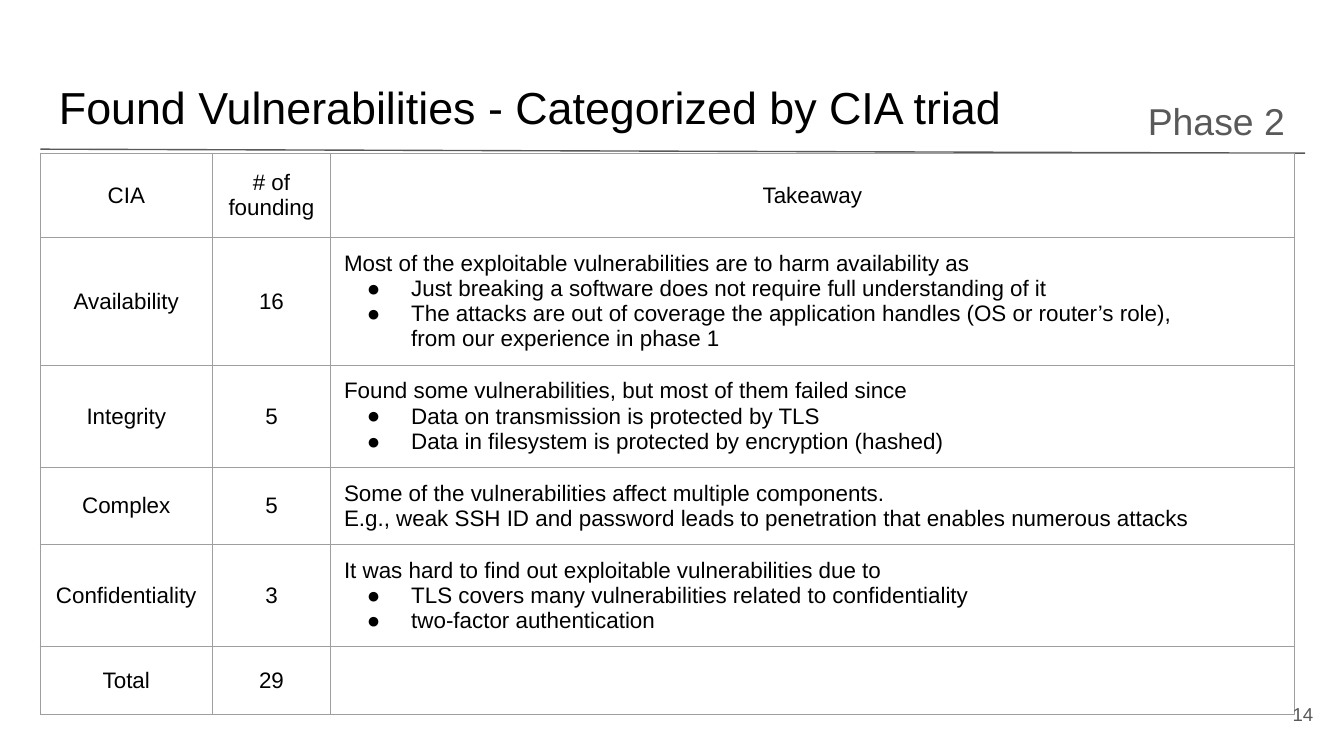
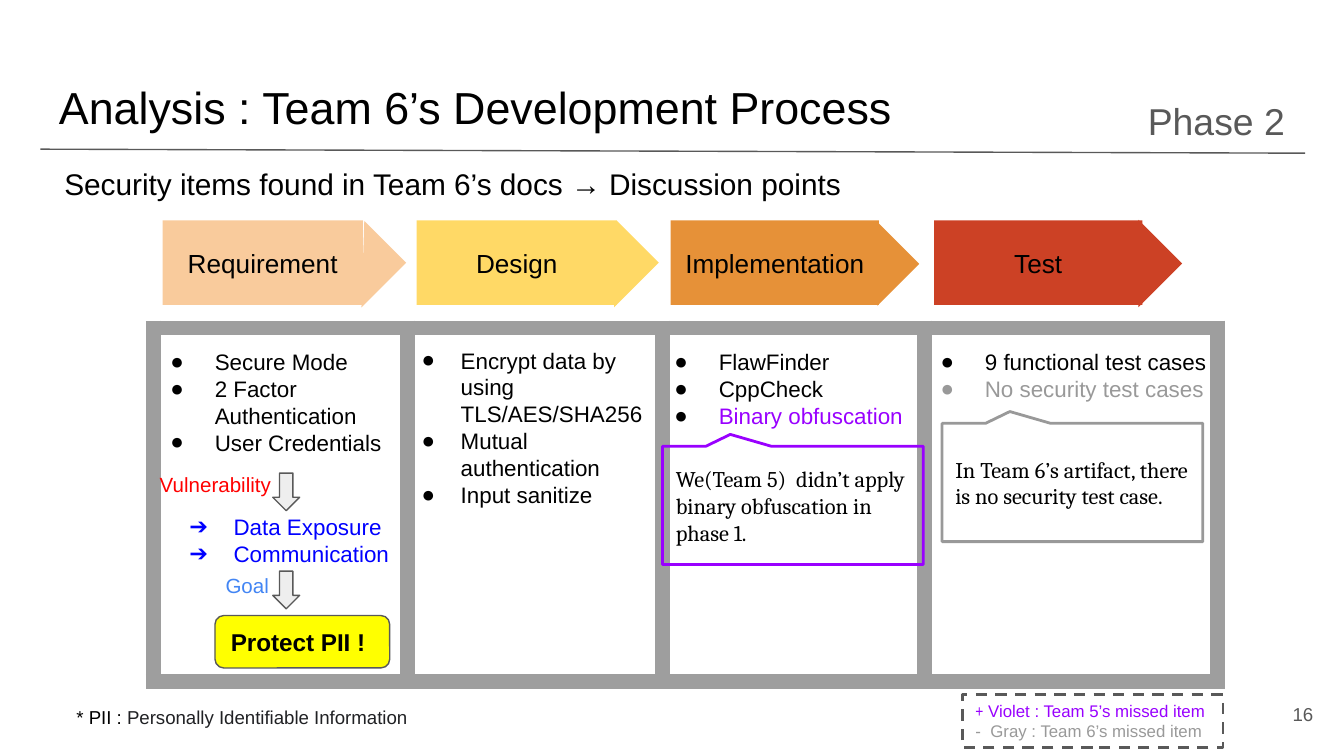
import lxml.etree
import pptx
import pptx.dml.color
import pptx.enum.dml
import pptx.enum.shapes
import pptx.enum.text
import pptx.oxml.ns
import pptx.util

Inches = pptx.util.Inches
Pt = pptx.util.Pt
qn = pptx.oxml.ns.qn
color = pptx.dml.color.RGBColor.from_string
SHAPE = pptx.enum.shapes.MSO_SHAPE
LEFT = pptx.enum.text.PP_ALIGN.LEFT
CENTER = pptx.enum.text.PP_ALIGN.CENTER
RIGHT = pptx.enum.text.PP_ALIGN.RIGHT
TOP = pptx.enum.text.MSO_ANCHOR.TOP
MIDDLE = pptx.enum.text.MSO_ANCHOR.MIDDLE

BLACK, DARK_GRAY, GRAY, BORDER = "000000", "595959", "999999", "9E9E9E"
VIOLET, BLUE = "9900FF", "0000FF"


def write(frame, lines, size, ink=BLACK, align=LEFT, font="Arial", hanging=0.33):
    """Fill a text frame; a line that opens with ● or ➔ becomes a bullet."""
    for index, line in enumerate(lines):
        paragraph = frame.paragraphs[0] if index == 0 else frame.add_paragraph()
        bullet = line[0] if line[0] in "●➔" else None
        paragraph.text = line[2:] if bullet else line
        paragraph.alignment = align
        if bullet:
            properties = paragraph._p.get_or_add_pPr()
            properties.set("marL", str(Inches(0.5)))
            properties.set("indent", str(-Inches(hanging)))
            bullet_color = lxml.etree.SubElement(properties, qn("a:buClr"))
            lxml.etree.SubElement(bullet_color, qn("a:srgbClr"), val=ink)
            lxml.etree.SubElement(properties, qn("a:buSzPts"), val=str(size * 100))
            lxml.etree.SubElement(properties, qn("a:buFont"), typeface=font)
            lxml.etree.SubElement(properties, qn("a:buChar"), char=bullet)
        for run in paragraph.runs:
            run.font.name = font
            run.font.size = Pt(size)
            run.font.color.rgb = color(ink)


def add_box(slide, box, kind=None, fill=None, line=None, width=0.75, anchor=MIDDLE):
    """Add a preset shape, or a text box when no kind is given."""
    left, top, box_width, height = [Inches(value) for value in box]
    if kind is None:
        shape = slide.shapes.add_textbox(left, top, box_width, height)
    else:
        shape = slide.shapes.add_shape(kind, left, top, box_width, height)
        shape.shadow.inherit = False
        if fill:
            shape.fill.solid()
            shape.fill.fore_color.rgb = color(fill)
        else:
            shape.fill.background()
        if line:
            shape.line.color.rgb = color(line)
            shape.line.width = Pt(width)
        else:
            shape.line.fill.background()
    frame = shape.text_frame
    frame.word_wrap = True
    frame.vertical_anchor = anchor
    frame.margin_left = frame.margin_right = Inches(0.1)
    frame.margin_top = frame.margin_bottom = Inches(0.1)
    return shape


presentation = pptx.Presentation()
presentation.slide_width = Inches(10)
presentation.slide_height = Inches(10) * 9 // 16

# Header, page number and table grid of each slide
pages = [
    {"title": "Found Vulnerabilities - Categorized by CIA triad", "number": "14",
     "table_at": (0.3, 1.14), "columns": [1.28, 0.88, 7.17],
     "rows": [0.63, 0.23, 0.23, 0.23, 0.6, 0.43], "border": 0.75},
    {"title": "Analysis : Team 6’s Development Process", "number": "16",
     "table_at": (1.14, 2.44), "columns": [1.89, 1.9, 1.95, 2.18],
     "rows": [2.63], "border": 9},
]
slides, tables = [], []
for page in pages:
    slide = presentation.slides.add_slide(presentation.slide_layouts[6])
    slides.append(slide)

    rule = slide.shapes.add_connector(
        pptx.enum.shapes.MSO_CONNECTOR.STRAIGHT,
        Inches(0.3), Inches(1.11), Inches(9.71), Inches(1.14))
    rule.line.color.rgb = color(DARK_GRAY)
    rule.line.width = Pt(0.75)
    lxml.etree.SubElement(rule._element.spPr, qn("a:effectLst"))

    columns, rows = page["columns"], page["rows"]
    left, top = page["table_at"]
    table = slide.shapes.add_table(
        len(rows), len(columns), Inches(left), Inches(top),
        Inches(sum(columns)), Inches(sum(rows))).table
    table.first_row = table.horz_banding = False
    tables.append(table)
    for column, width in zip(table.columns, columns):
        column.width = Inches(width)
    for row, height in zip(table.rows, rows):
        row.height = Inches(height)
    for cell in table.iter_cells():
        cell.fill.background()
        cell.margin_left = cell.margin_right = Inches(0.1)
        cell.margin_top = cell.margin_bottom = Inches(0.1)
        properties = cell._tc.get_or_add_tcPr()
        for index, side in enumerate(("a:lnL", "a:lnR", "a:lnT", "a:lnB")):
            border = lxml.etree.Element(qn(side), w=str(Pt(page["border"])))
            border_fill = lxml.etree.SubElement(border, qn("a:solidFill"))
            lxml.etree.SubElement(border_fill, qn("a:srgbClr"), val=BORDER)
            properties.insert(index, border)

    title = add_box(slide, (0.34, 0.49, 9.32, 0.63), anchor=TOP)
    write(title.text_frame, [page["title"]], 24)
    phase = add_box(slide, (4.56, 0.63, 5.1, 0.54), anchor=TOP)
    write(phase.text_frame, ["Phase 2"], 20, DARK_GRAY, RIGHT)
    number = add_box(slide, (9.27, 5.1, 0.6, 0.43))
    write(number.text_frame, [page["number"]], 10, DARK_GRAY, RIGHT)

# Slide 1: vulnerabilities by CIA category
findings = [
    ("CIA", "# of founding", ["Takeaway"]),
    ("Availability", "16", [
        "Most of the exploitable vulnerabilities are to harm availability as",
        "● Just breaking a software does not require full understanding of it",
        "● The attacks are out of coverage the application handles "
        "(OS or router’s role), \vfrom our experience in phase 1"]),
    ("Integrity", "5", [
        "Found some vulnerabilities, but most of them failed since",
        "● Data on transmission is protected by TLS",
        "● Data in filesystem is protected by encryption (hashed)"]),
    ("Complex", "5", [
        "Some of the vulnerabilities affect multiple components.",
        "E.g., weak SSH ID and password leads to penetration that enables "
        "numerous attacks"]),
    ("Confidentiality", "3", [
        "It was hard to find out exploitable vulnerabilities due to",
        "● TLS covers many vulnerabilities related to confidentiality",
        "● two-factor authentication"]),
    ("Total", "29", []),
]
for row_index, (category, count, takeaway) in enumerate(findings):
    for column_index, lines in enumerate(([category], [count], takeaway)):
        cell = tables[0].cell(row_index, column_index)
        centered = row_index == 0 or column_index < 2
        cell.vertical_anchor = MIDDLE if centered else TOP
        write(cell.text_frame, lines, 12, align=CENTER if centered else LEFT)

# Slide 2: development process
slide = slides[1]
subtitle = add_box(slide, (0.38, 1.13, 7.58, 0.47), anchor=TOP)
write(subtitle.text_frame,
      ["Security items found in Team 6’s docs → Discussion points"], 16)

stages = [
    ("Requirement", 1.21, 1.49, "F9CB9C", (2.48, 1.73, 0.44, 0.47)),
    ("Design", 3.1, 1.49, "FFD966", (4.36, 1.73, 0.44, 0.47)),
    ("Implementation", 4.99, 1.55, "E69138", (6.3, 1.74, 0.45, 0.44)),
    ("Test", 6.95, 1.55, "CC4125", (8.24, 1.73, 0.46, 0.46)),
]
for name, left, width, fill, tip_box in stages:
    body = add_box(slide, (left, 1.64, width, 0.63), SHAPE.RECTANGLE, fill)
    write(body.text_frame, [name], 14, align=CENTER)
    tip = add_box(slide, tip_box, SHAPE.RIGHT_TRIANGLE, fill)
    tip.rotation = 225

stage_items = [
    ((1, 2.49, 2.16, 1.01), 0.33,
     ["● Secure Mode", "● 2 Factor Authentication", "● User Credentials"]),
    ((2.83, 2.48, 2.16, 1.41), 0.29,
     ["● Encrypt data by using TLS/AES/SHA256", "● Mutual authentication",
      "● Input sanitize"]),
    ((4.75, 2.49, 2.16, 0.81), 0.33,
     ["● FlawFinder", "● CppCheck", "● Binary obfuscation"]),
    ((6.73, 2.49, 2.4, 0.61), 0.33,
     ["● 9 functional test cases", "● No security test cases"]),
]
item_frames = []
for box, hanging, lines in stage_items:
    frame = add_box(slide, box, anchor=TOP).text_frame
    write(frame, lines, 12, hanging=hanging)
    item_frames.append(frame)
item_frames[2].paragraphs[2].runs[0].font.color.rgb = color(VIOLET)
missed_test = item_frames[3].paragraphs[1]
missed_test.runs[0].font.color.rgb = color(GRAY)
missed_test._p.pPr.find(qn("a:buClr"))[0].set("val", GRAY)

goal = add_box(slide, (1.6, 4.58, 1.3, 0.39), SHAPE.ROUNDED_RECTANGLE,
               "FFFF00", DARK_GRAY)
write(goal.text_frame, ["Protect PII !"], 13)
goal.text_frame.paragraphs[0].runs[0].font.bold = True

labels = [
    ((1.14, 3.72, 1.94, 0.61), ["➔ Data Exposure", "➔ Communication"], 12, BLUE),
    ((1.58, 4.17, 0.6, 0.39), ["Goal"], 11, "4285F4"),
    ((1.09, 3.42, 1.17, 0.39), ["Vulnerability"], 11, "FF0000"),
]
for box, lines, size, ink in labels:
    write(add_box(slide, box, anchor=TOP).text_frame, lines, size, ink)
for top in (3.52, 4.25):
    add_box(slide, (2.03, top, 0.2, 0.28), SHAPE.DOWN_ARROW, "EEEEEE", DARK_GRAY)

footnote = add_box(slide, (0.47, 5.17, 2.98, 0.37), anchor=TOP)
write(footnote.text_frame, ["* PII : "], 10)
definition = footnote.text_frame.paragraphs[0].add_run()
definition.text = "Personally Identifiable Information"
definition.font.name = "Arial"
definition.font.size = Pt(10)
definition.font.color.rgb = color("202124")

legend = add_box(slide, (7.16, 5.17, 1.94, 0.39), SHAPE.RECTANGLE,
                 line=DARK_GRAY, width=1.5)
legend.line.dash_style = pptx.enum.dml.MSO_LINE.DASH
write(legend.text_frame, ["+", "-  Gray : Team 6’s missed item"], 9, GRAY)
violet_line = legend.text_frame.paragraphs[0]
violet_line.add_run().text = " Violet : Team 5’s missed item"
for run, font in zip(violet_line.runs, ("Arial Narrow", "Arial")):
    run.font.name = font
    run.font.size = Pt(9)
    run.font.color.rgb = color(VIOLET)

callouts = [
    (7.01, 3.15, GRAY, "In Team 6’s artifact, there is no security test case."),
    (4.93, 3.32, VIOLET, "We(Team 5)  didn’t apply binary obfuscation in phase 1."),
]
for left, top, line, text in callouts:
    callout = add_box(slide, (left, top, 1.94, 0.88), SHAPE.RECTANGULAR_CALLOUT,
                      line=line, width=1.5)
    callout.adjustments[0] = -0.24
    callout.adjustments[1] = -0.6
    write(callout.text_frame, [text], 12, font="Cambria")

presentation.save("out.pptx")
